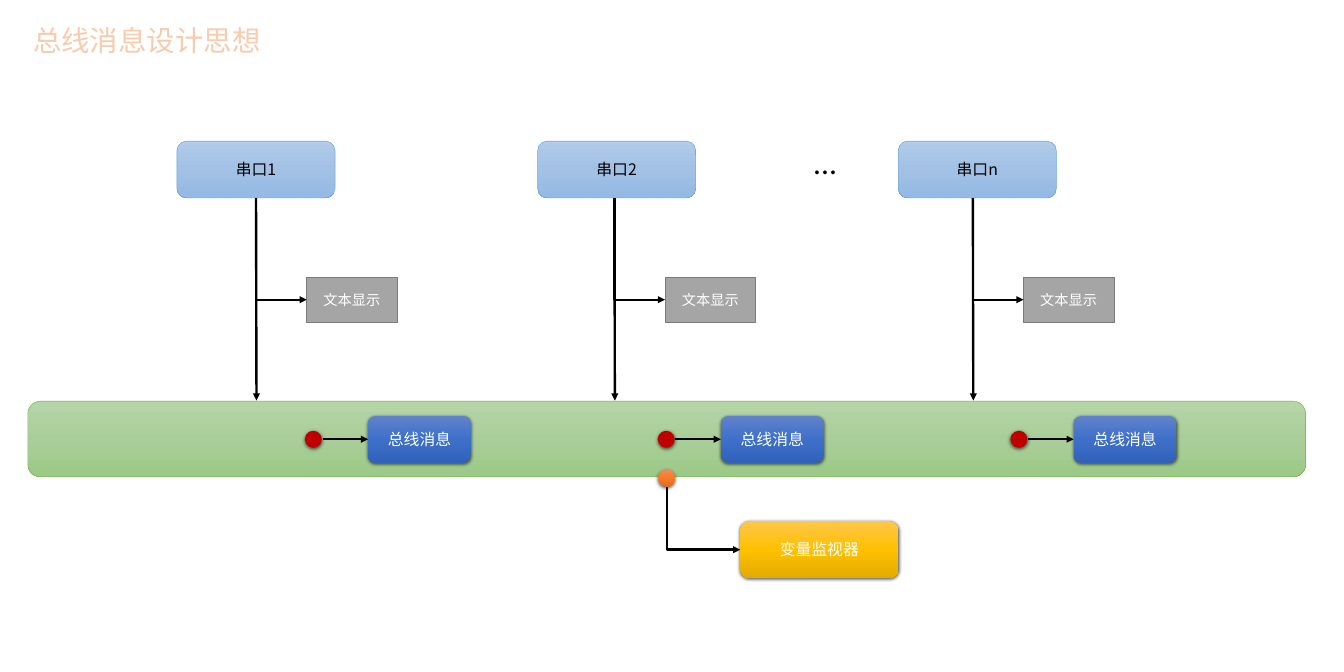
from copy import deepcopy
from dataclasses import dataclass

from lxml.etree import SubElement
from pptx import Presentation
from pptx.dml.color import RGBColor
from pptx.enum.shapes import MSO_CONNECTOR as Link, MSO_SHAPE as Preset
from pptx.enum.text import MSO_ANCHOR as Anchor, PP_ALIGN as Align
from pptx.oxml.ns import qn
from pptx.util import Emu, Pt

COLUMNS, ROWS = 60, 30
CELL = 360000
CJK, LATIN = "Noto Sans CJK SC", "Calibri"
COLORS = {
    "title": "F8CBAD", "title_edge": "ED7D31", "ink": "000000", "paper": "FFFFFF",
    "port_edge": "5B9BD5", "bus_edge": "70AD47", "display": "A5A5A5",
    "display_edge": "7A7A7A", "source": "C00000",
}
GRADIENTS = {
    "port": ("B1CBE9", "A3C1E5", "93B9E4"),
    "bus": ("B5D5A7", "AACE9A", "9CC987"),
    "monitor": ("FFC64B", "FFC000", "E3AB00"),
    "tap": ("F18C57", "F67B28", "E56C19"),
    "message": ("6183CB", "3E70CA", "3062BB"),
}


@dataclass(frozen=True)
class Style:
    preset: Preset
    fill: str
    edge: str = ""
    edge_width: float = 0.5
    shadow: bool = False
    ink: str = "paper"
    size: int = 20
    font: str = CJK


@dataclass(frozen=True)
class Area:
    column: float
    row: float
    columns: float
    rows: float

    def shifted(self, columns: float) -> "Area":
        return Area(self.column + columns, self.row, self.columns, self.rows)

    def lengths(self) -> list[Emu]:
        return [grid(value) for value in (self.column, self.row, self.columns, self.rows)]


PORT = Style(Preset.ROUNDED_RECTANGLE, "port", "port_edge", ink="ink")
BUS = Style(Preset.ROUNDED_RECTANGLE, "bus", "bus_edge")
DISPLAY = Style(Preset.RECTANGLE, "display", "display_edge", 1, size=18, font=LATIN)
MONITOR = Style(Preset.ROUNDED_RECTANGLE, "monitor", shadow=True)
TAP = Style(Preset.OVAL, "tap", shadow=True)
MESSAGE = Style(Preset.ROUNDED_RECTANGLE, "message", shadow=True)
SOURCE = Style(Preset.OVAL, "source", shadow=True)

PORT_NAMES = ("串口1", "串口2", "串口n")
PORT_PITCH, BRANCH_PITCH, MESSAGE_PITCH = 16.1, 16, 15.75


def grid(cells: float) -> Emu:
    return Emu(round(cells * CELL))


def rgb(name: str) -> RGBColor:
    return RGBColor.from_string(COLORS[name])


def write(frame, text: str, size: int, font: str, color: str, align: Align, anchor: Anchor):
    frame.text = text
    frame.word_wrap = True
    frame.vertical_anchor = anchor
    para = frame.paragraphs[0]
    para.alignment = align
    span = para.runs[0]
    span.font.size = Pt(size)
    span.font.name = font
    span.font.color.rgb = rgb(color)
    SubElement(span.font._element, qn("a:ea"), typeface=CJK)
    return para


def paint_gradient(box, colors: tuple[str, ...]) -> None:
    box.fill.gradient()
    box.fill.gradient_angle = 270
    stop_list = next(box._element.iter(qn("a:gsLst")))
    stop_list.append(deepcopy(stop_list[-1]))
    for index, (stop, color) in enumerate(zip(box.fill.gradient_stops, colors)):
        stop.position = index / (len(colors) - 1)
        stop.color.rgb = RGBColor.from_string(color)


def cast_shadow(box) -> None:
    effects = box._element.spPr.find(qn("a:effectLst"))
    shadow = SubElement(effects, qn("a:outerShdw"), blurRad=str(Pt(4.5)),
                        dist=str(Pt(1.5)), dir="5400000", algn="ctr", rotWithShape="0")
    color = SubElement(shadow, qn("a:srgbClr"), val=COLORS["ink"])
    SubElement(color, qn("a:alpha"), val="63000")


def add_box(shapes, style: Style, area: Area, text: str = "") -> None:
    box = shapes.add_shape(style.preset, *area.lengths())
    box.shadow.inherit = False
    if style.fill in GRADIENTS:
        paint_gradient(box, GRADIENTS[style.fill])
    else:
        box.fill.solid()
        box.fill.fore_color.rgb = rgb(style.fill)
    if style.edge:
        box.line.color.rgb = rgb(style.edge)
        box.line.width = Pt(style.edge_width)
    else:
        box.line.fill.background()
    if style.shadow:
        cast_shadow(box)
    if text:
        write(box.text_frame, text, style.size, style.font, style.ink,
              Align.CENTER, Anchor.MIDDLE)


def add_arrow(shapes, start: tuple[float, float], end: tuple[float, float],
              kind: Link = Link.STRAIGHT):
    arrow = shapes.add_connector(kind, *map(grid, start + end))
    arrow.line.color.rgb = rgb("ink")
    arrow.line.width = Pt(3)
    SubElement(arrow.line._get_or_add_ln(), qn("a:tailEnd"), type="triangle")
    SubElement(arrow._element.spPr, qn("a:effectLst"))
    return arrow


def add_corner_arrow(shapes, start: tuple[float, float], end: tuple[float, float]) -> None:
    arrow = add_arrow(shapes, start, end, Link.ELBOW)
    across, down = end[0] - start[0], end[1] - start[1]
    middle_column, middle_row = start[0] + across / 2, start[1] + down / 2
    turned = Area(middle_column - down / 2, middle_row - across / 2, down, across)
    arrow.left, arrow.top, arrow.width, arrow.height = turned.lengths()
    frame = arrow._element.spPr.find(qn("a:xfrm"))
    frame.set("rot", "5400000")
    frame.set("flipV", "1")
    arrow._element.spPr.find(qn("a:prstGeom")).set("prst", "bentConnector2")


def add_title(page, text: str) -> None:
    title = page.shapes.title
    title.left, title.top, title.width, title.height = Area(1.22, 0.91, 14.76, 1.8).lengths()
    para = write(title.text_frame, text, 36, CJK, "title", Align.LEFT, Anchor.MIDDLE)
    properties = para.runs[0].font._element
    outline = SubElement(properties, qn("a:ln"), w=str(Pt(1.75)))
    SubElement(SubElement(outline, qn("a:solidFill")), qn("a:srgbClr"),
               val=COLORS["title_edge"])
    properties.insert(0, outline)


def add_ports(page) -> None:
    ports = page.shapes.add_group_shape().shapes
    for index, name in enumerate(PORT_NAMES):
        add_box(ports, PORT, Area(7.9, 6.3, 7.06, 2.54).shifted(index * PORT_PITCH), name)
    dots = ports.add_textbox(*Area(35.31, 7.01, 3.05, 1.12).lengths())
    para = write(dots.text_frame, "...", 40, LATIN, "ink", Align.CENTER, Anchor.TOP)
    para.line_spacing = 0.5


def add_branch(page, shift: float) -> None:
    column = 11.43 + shift
    add_box(page.shapes, DISPLAY, Area(13.69, 12.37, 4.04, 2.01).shifted(shift), "文本显示")
    add_corner_arrow(page.shapes, (column, 8.84), (column + 2.26, 13.38))
    add_arrow(page.shapes, (column, 8.84), (column + 0.02, 17.88))


def add_message(page, shift: float) -> None:
    shapes = page.shapes.add_group_shape().shapes
    add_box(shapes, MESSAGE, Area(16.43, 18.57, 4.6, 2.08).shifted(shift), "总线消息")
    add_arrow(shapes, (14.4 + shift, 19.61), (16.43 + shift, 19.61))
    add_box(shapes, SOURCE, Area(13.61, 19.23, 0.76, 0.76).shifted(shift))


deck = Presentation()
deck.slide_width, deck.slide_height = grid(COLUMNS), grid(ROWS)
page = deck.slides.add_slide(deck.slide_layouts.get_by_name("Title Only"))

add_title(page, "总线消息设计思想")
add_ports(page)
add_box(page.shapes, BUS, Area(1.24, 17.91, 57.05, 3.38))
for index in range(len(PORT_NAMES)):
    add_branch(page, index * BRANCH_PITCH)
add_box(page.shapes, MONITOR, Area(33.05, 23.27, 7.06, 2.54), "变量监视器")
add_corner_arrow(page.shapes, (29.77, 21.72), (33.05, 24.54))
add_box(page.shapes, TAP, Area(29.39, 20.96, 0.76, 0.76))
for index in range(len(PORT_NAMES)):
    add_message(page, index * MESSAGE_PITCH)

deck.save("out.pptx")
